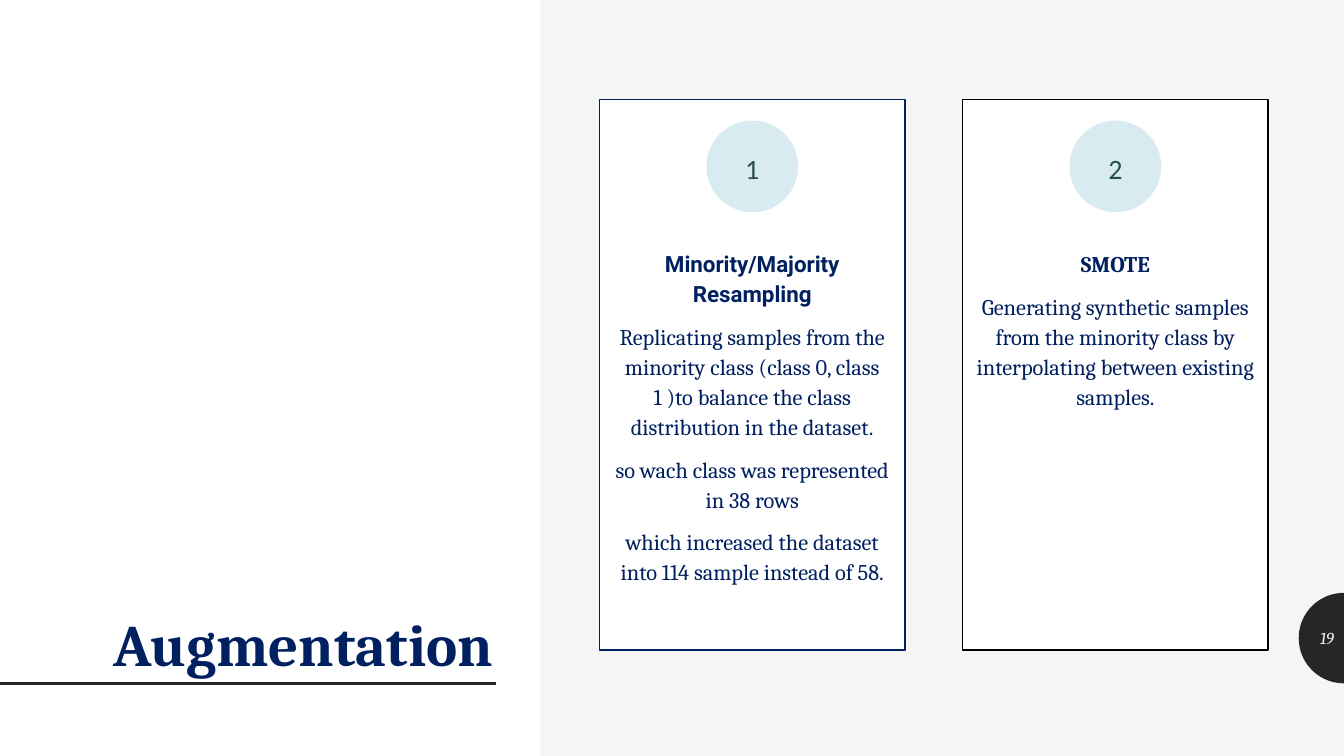
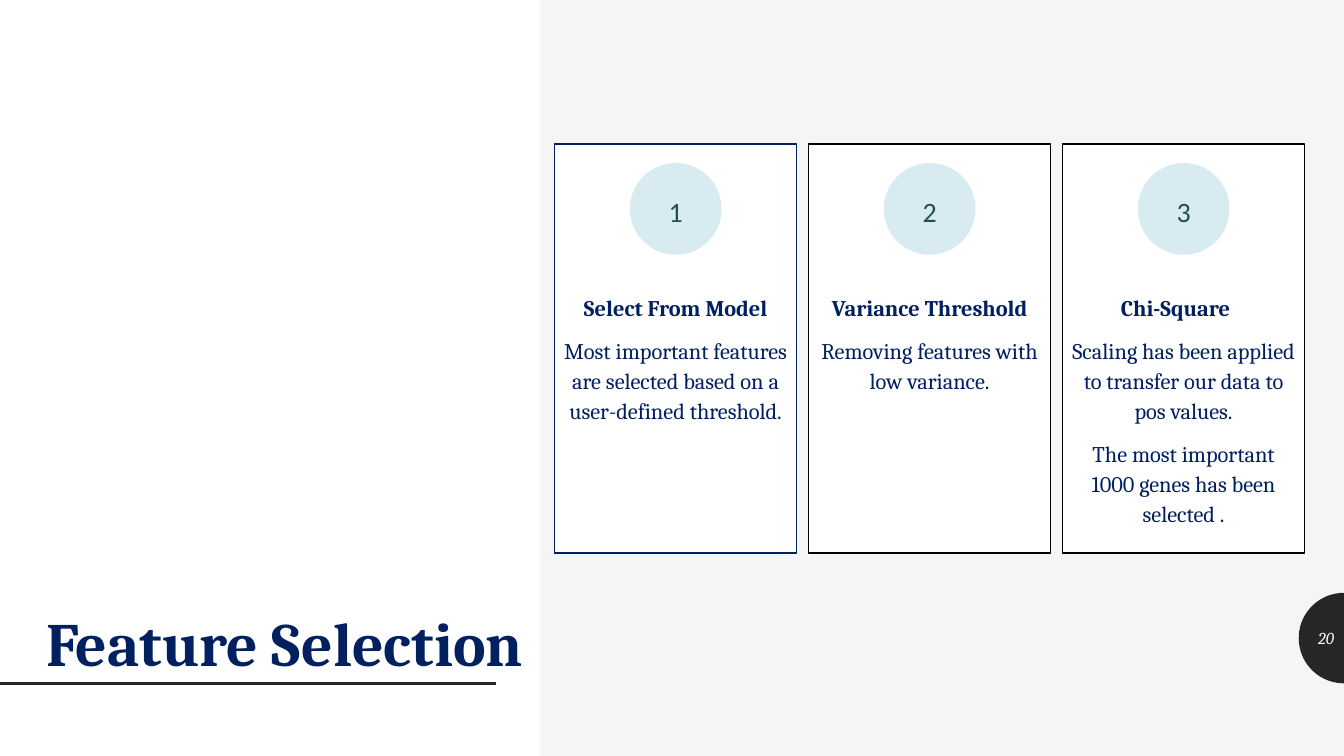
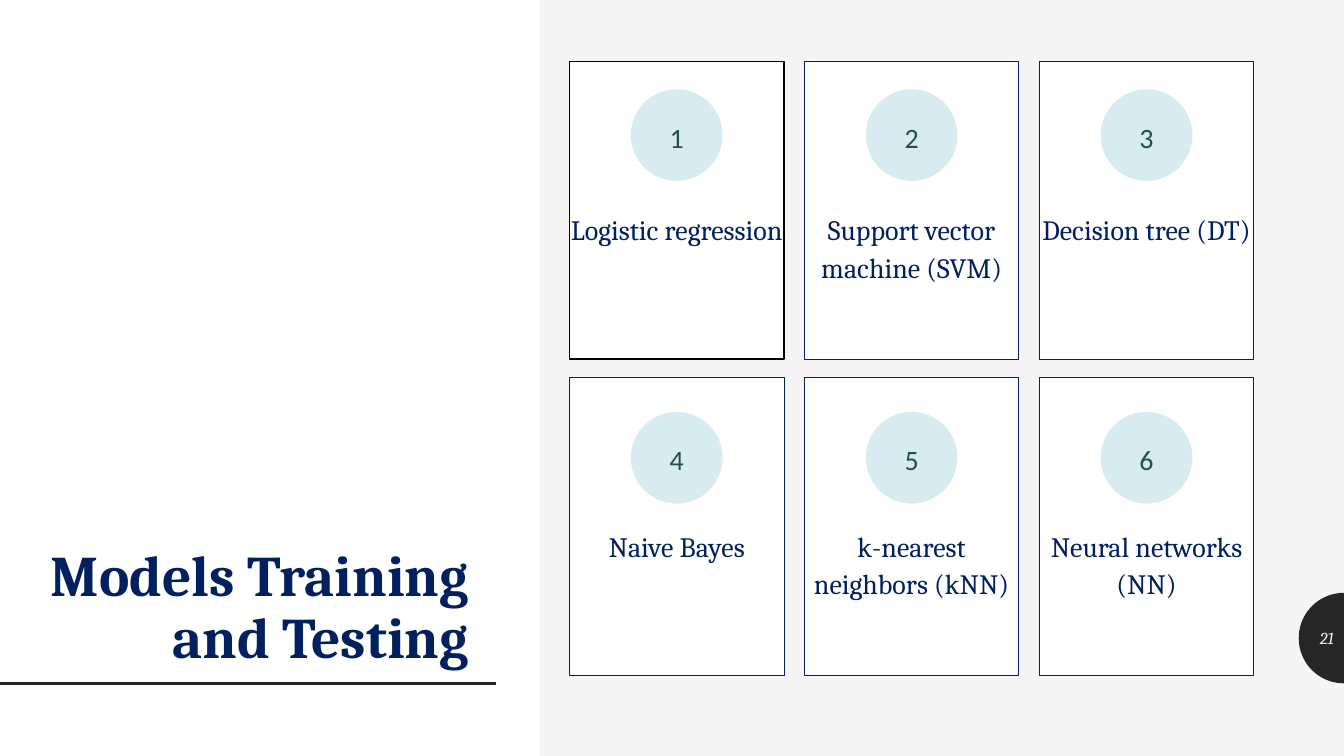
from dataclasses import dataclass
from math import cos, pi, sin

from lxml.etree import SubElement
from pptx import Presentation
from pptx.dml.color import RGBColor
from pptx.enum.shapes import MSO_CONNECTOR, MSO_SHAPE
from pptx.enum.text import MSO_ANCHOR, PP_ALIGN
from pptx.oxml.ns import qn
from pptx.util import Cm, Pt

# Shared style, lengths in centimetres
NAVY, BLACK, DARK = "002060", "000000", "262626"
WHITE, PALE_GREY = "FFFFFF", "F5F5F5"
PALE_BLUE, TEAL = "D8EBF0", "26504B"
SERIF, SANS, NUMBER_FONT = "Cambria", "Roboto", "Calibri"
SLIDE_WIDTH, SLIDE_HEIGHT = 33.87, 19.05
PANEL_WIDTH = 13.6
BADGE_SIZE = 2.31
TAB_RADIUS, TAB_MIDDLE = 1.14, 16.08
LINE_SPACING = 1.12


@dataclass
class Card:
    heading: str
    texts: tuple = ()
    border: str = NAVY
    border_width: float = 1
    heading_font: str = SERIF
    heading_indent: float = 0


@dataclass
class CardStyle:
    width: float
    height: float
    step: float
    side_inset: float = 0.2
    size: int = 16
    bold_heading: bool = True


def color(hex_string):
    return RGBColor.from_string(hex_string)


def paint(shape, fill, border=None, border_width=1):
    shape.shadow.inherit = False
    shape.fill.solid()
    shape.fill.fore_color.rgb = color(fill)
    if border:
        shape.line.color.rgb = color(border)
        shape.line.width = Pt(border_width)
    else:
        shape.line.fill.background()


def add_box(slide, preset, left, top, width, height, fill, **border):
    shape = slide.shapes.add_shape(preset, Cm(left), Cm(top), Cm(width), Cm(height))
    paint(shape, fill, **border)
    return shape


def write(paragraph, text, size, hex_string, font=SERIF, bold=False, italic=False,
          align=PP_ALIGN.CENTER, spacing=LINE_SPACING):
    paragraph.text = text
    paragraph.alignment = align
    paragraph.line_spacing = spacing
    paragraph.font.size = Pt(size)
    paragraph.font.name = font
    paragraph.font.bold = bold
    paragraph.font.italic = italic
    paragraph.font.color.rgb = color(hex_string)


def add_label(slide, left, top, width, height, text, size, hex_string, anchor, **style):
    box = slide.shapes.add_textbox(Cm(left), Cm(top), Cm(width), Cm(height))
    frame = box.text_frame
    frame.word_wrap = True
    frame.vertical_anchor = anchor
    write(frame.paragraphs[0], text, size, hex_string, align=PP_ALIGN.RIGHT, **style)


def add_title_rule(slide):
    rule = slide.shapes.add_connector(MSO_CONNECTOR.STRAIGHT, Cm(0), Cm(17.22), Cm(12.5), Cm(17.22))
    rule.line.color.rgb = color(DARK)
    rule.line.width = Pt(2)
    SubElement(rule.element.spPr, qn("a:effectLst"))


def add_page_tab(slide, number):
    # Half disc against the right edge
    steps = 40
    angles = [pi / 2 + pi * step / steps for step in range(steps + 1)]
    points = [(Cm(SLIDE_WIDTH + TAB_RADIUS * cos(angle)), Cm(TAB_MIDDLE + TAB_RADIUS * sin(angle)))
              for angle in angles]
    builder = slide.shapes.build_freeform(*points[0])
    builder.add_line_segments(points[1:], close=True)
    paint(builder.convert_to_shape(), DARK)
    add_label(slide, 32.74, 15.57, 1.13, 1.02, str(number), 12, PALE_GREY,
              MSO_ANCHOR.MIDDLE, italic=True, spacing=1)


def add_frame_slide(presentation, number, title, size, title_right, title_bottom=17.25):
    slide = presentation.slides.add_slide(presentation.slide_layouts[6])
    add_box(slide, MSO_SHAPE.RECTANGLE, 0, 0, PANEL_WIDTH, SLIDE_HEIGHT, WHITE)
    add_title_rule(slide)
    add_page_tab(slide, number)
    add_label(slide, 0, title_bottom - 6, title_right, 6, title, size, NAVY,
              MSO_ANCHOR.BOTTOM, bold=True, spacing=0.9)
    return slide


def add_card(slide, left, top, card, style):
    shape = add_box(slide, MSO_SHAPE.RECTANGLE, left, top, style.width, style.height, WHITE,
                    border=card.border, border_width=card.border_width)
    frame = shape.text_frame
    frame.word_wrap = True
    frame.vertical_anchor = MSO_ANCHOR.TOP
    frame.margin_left = frame.margin_right = Cm(style.side_inset)
    frame.margin_top, frame.margin_bottom = Cm(3.71), Cm(0)
    heading = frame.paragraphs[0]
    write(heading, card.heading, style.size, NAVY, card.heading_font, style.bold_heading)
    if card.heading_indent:
        heading.alignment = PP_ALIGN.LEFT
        heading._p.get_or_add_pPr().set("indent", str(Cm(card.heading_indent)))
    for text in card.texts:
        paragraph = frame.add_paragraph()
        write(paragraph, text, style.size, NAVY)
        paragraph.space_before = Pt(9)


def add_badge(slide, center, top, number):
    badge = add_box(slide, MSO_SHAPE.OVAL, center - BADGE_SIZE / 2, top,
                    BADGE_SIZE, BADGE_SIZE, PALE_BLUE)
    badge.text_frame.vertical_anchor = MSO_ANCHOR.MIDDLE
    write(badge.text_frame.paragraphs[0], str(number), 20, TEAL, NUMBER_FONT)


def add_card_row(slide, left, top, cards, style, badge_offset, first_number=1):
    for column, card in enumerate(cards):
        card_left = left + column * style.step
        add_card(slide, card_left, top, card, style)
        add_badge(slide, card_left + style.width / 2, top + badge_offset, first_number + column)


def add_augmentation(presentation):
    slide = add_frame_slide(presentation, 19, "Augmentation", 42, 12.67)
    cards = [
        Card("Minority/Majority Resampling", (
            "Replicating samples from the minority class (class 0, class 1 )"
            "to balance the class distribution in the dataset.",
            "so wach class was represented in 38 rows",
            "which increased the dataset into 114 sample instead of 58.",
        ), heading_font=SANS),
        Card("SMOTE", (
            "Generating synthetic samples from the minority class "
            "by interpolating between existing samples.",
        ), BLACK),
    ]
    add_card_row(slide, 15.11, 2.51, cards, CardStyle(7.7, 13.87, 9.15), 0.53)


def add_feature_selection(presentation):
    slide = add_frame_slide(presentation, 20, "Feature Selection", 44, 13.44)
    cards = [
        Card("Select From Model", (
            "Most important features are selected based on a user-defined threshold.",
        )),
        Card("Variance Threshold", ("Removing features with low variance.",), BLACK),
        Card("Chi-Square", (
            "Scaling has been applied to transfer our data to pos values.",
            "The most important 1000 genes has been selected .",
        ), BLACK, heading_indent=1.27),
    ]
    add_card_row(slide, 13.98, 3.63, cards, CardStyle(6.1, 10.31, 6.4), 0.48)


def add_models(presentation):
    slide = add_frame_slide(presentation, 21, "Models Training and Testing", 41, 12.07, 17.02)
    style = CardStyle(5.41, 7.5, 5.92, side_inset=0, size=20, bold_heading=False)
    names = ["Logistic regression", "Support vector machine (SVM)", "Decision tree (DT)",
             "Naive Bayes", "k-nearest neighbors (kNN)", "Neural networks (NN)"]
    cards = [Card(name, border_width=0.75) for name in names]
    cards[0] = Card(names[0], border=BLACK)
    add_card_row(slide, 14.35, 1.55, cards[:3], style, 0.7)
    add_card_row(slide, 14.35, 9.52, cards[3:], style, 0.86, first_number=4)


def main():
    presentation = Presentation()
    presentation.slide_width = Cm(SLIDE_WIDTH)
    presentation.slide_height = Cm(SLIDE_HEIGHT)
    background = presentation.slide_master.background.fill
    background.solid()
    background.fore_color.rgb = color(PALE_GREY)
    add_augmentation(presentation)
    add_feature_selection(presentation)
    add_models(presentation)
    presentation.save("out.pptx")


if __name__ == "__main__":
    main()
